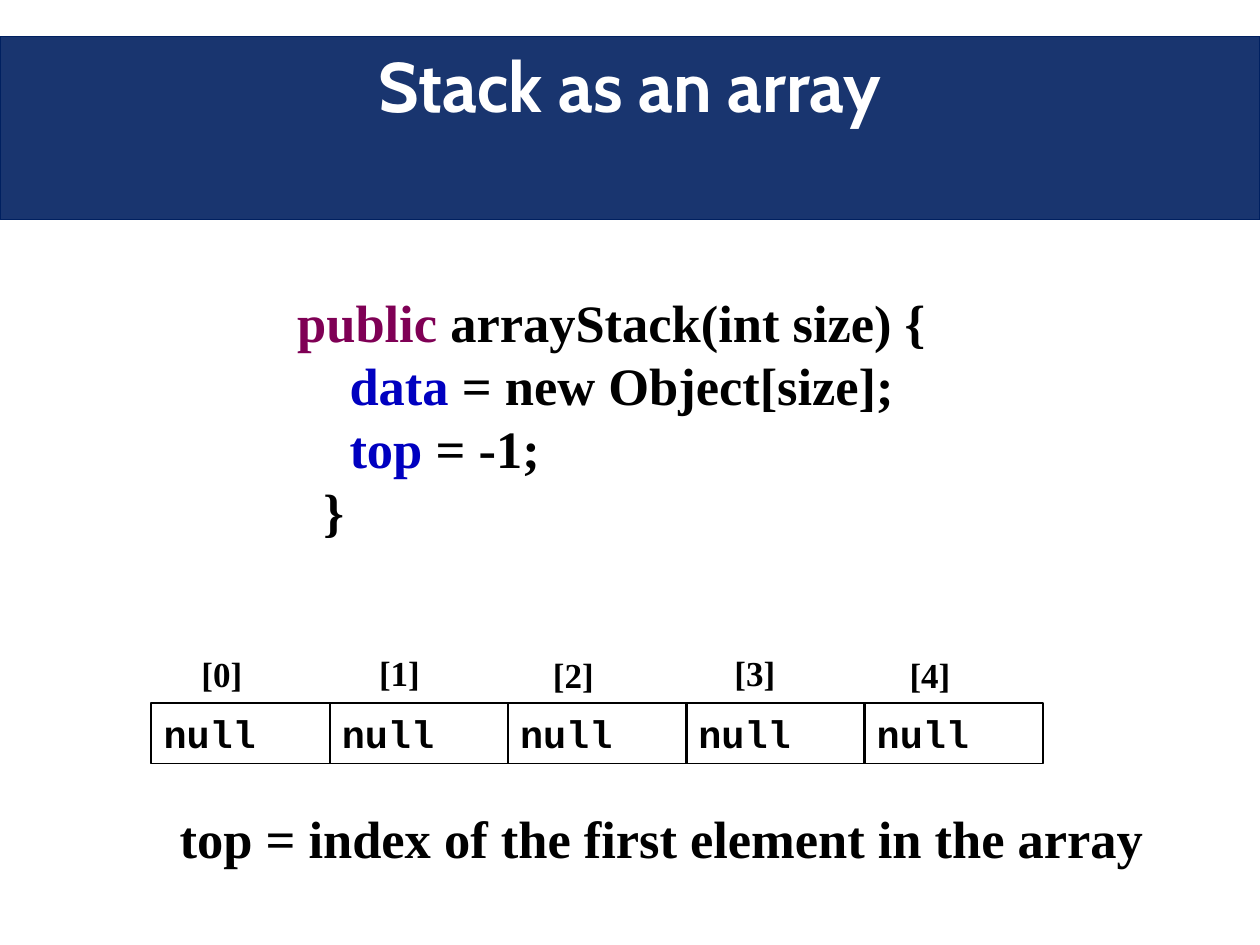
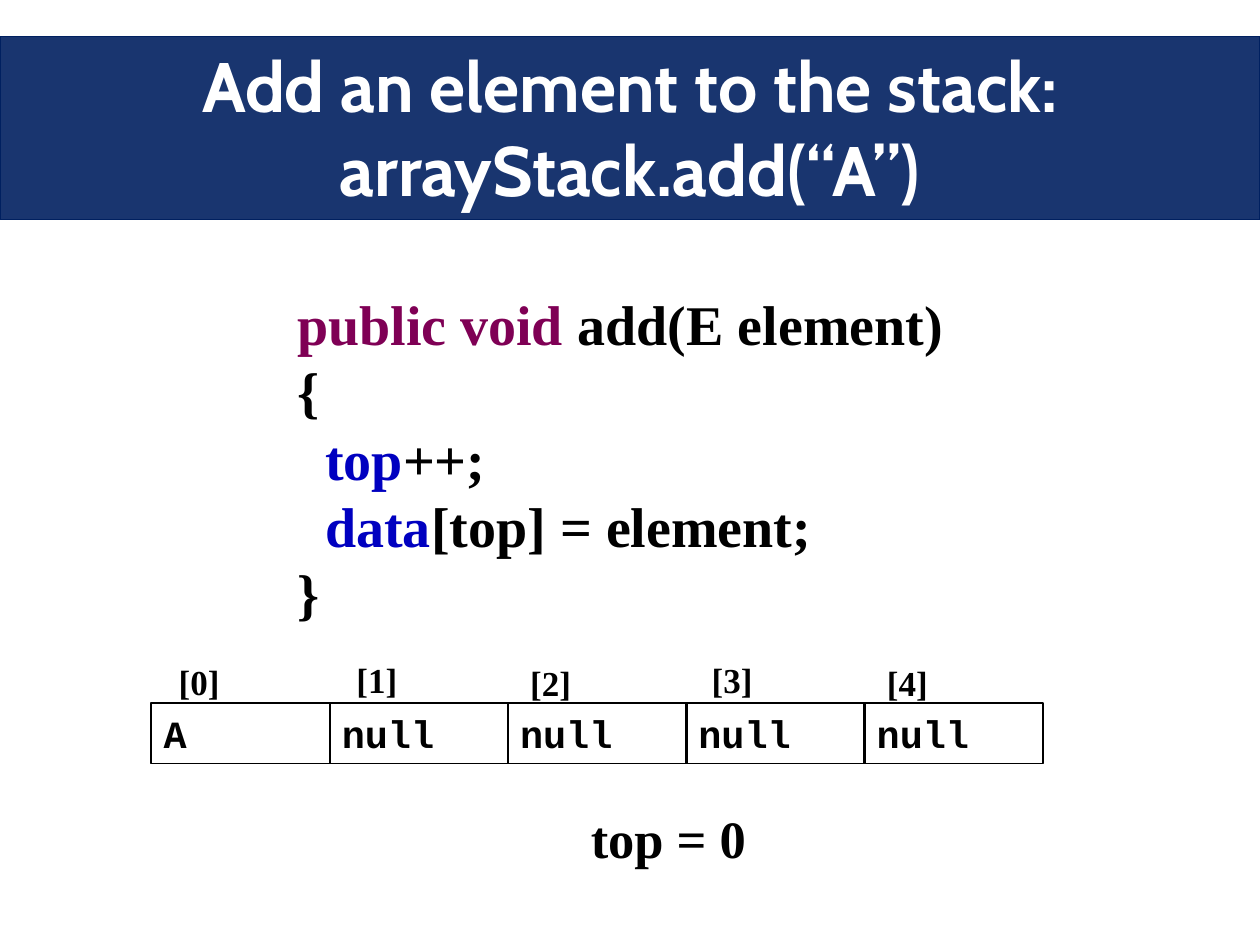
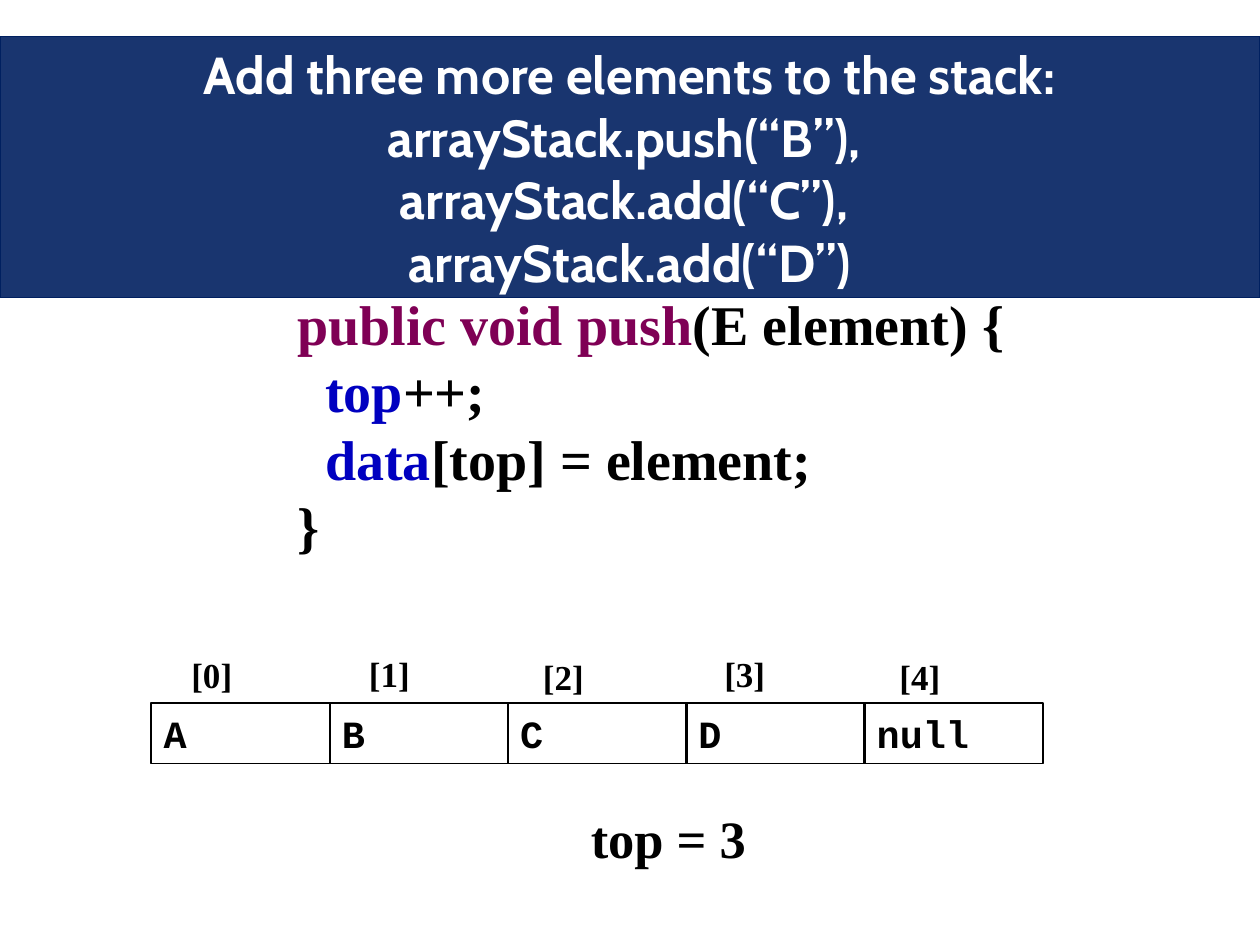
import pptx
import pptx.dml.color
import pptx.enum.shapes
import pptx.enum.text
import pptx.oxml
import pptx.oxml.ns
import pptx.util

Inches = pptx.util.Inches
Pt = pptx.util.Pt
ALIGN = pptx.enum.text.PP_ALIGN
ANCHOR = pptx.enum.text.MSO_ANCHOR

NAVY, WHITE, BLACK = "002060", "FFFFFF", "000000"
KEYWORD, FIELD = "7F0055", "0000C0"
HEADING, SERIF, MONO = "Cabin", "Times New Roman", "Courier New"

CELL_LEFT, CELL_TOP, CELL_W, CELL_H = 1.2, 5.58, 1.42, 0.48
CELL_STEP = (6.86 - CELL_LEFT) / 4
# Offset of each index label from the first one
INDEX_OFFSETS = [(0, 0), (1.41, -0.01), (2.79, 0.01), (4.23, -0.01), (5.62, 0.01)]


def rgb(value):
    return pptx.dml.color.RGBColor.from_string(value)


def write(tf, lines, size, font=SERIF, color=BLACK, align=ALIGN.LEFT, anchor=ANCHOR.TOP):
    """Fill a frame; each line is a string or a list of (text, colour) parts."""
    tf.word_wrap = True
    tf.auto_size = pptx.enum.text.MSO_AUTO_SIZE.NONE
    tf.vertical_anchor = anchor
    for i, line in enumerate(lines):
        p = tf.paragraphs[0] if i == 0 else tf.add_paragraph()
        p.alignment = align
        p.space_before = Pt(0)
        parts = [(line, color)] if isinstance(line, str) else line
        for text, part_color in parts:
            for j, piece in enumerate(text.split("\n")):
                if j:
                    p.add_line_break()
                r = p.add_run()
                r.text = piece
                r.font.name = font
                r.font.size = Pt(size)
                r.font.bold = True
                r.font.color.rgb = rgb(part_color)


class Deck:
    def __init__(self):
        self.prs = pptx.Presentation()
        self.prs.slide_width = Inches(10)
        self.prs.slide_height = Inches(7.5)
        self.s = None

    def title_slide(self, text, size=40, height=1.45):
        self.s = self.prs.slides.add_slide(self.prs.slide_layouts[5])
        sp = self.s.shapes.title
        sp.left, sp.top = Inches(0), Inches(0.29)
        sp.width, sp.height = Inches(10), Inches(height)
        sp.fill.solid()
        sp.fill.fore_color.rgb = rgb(NAVY)
        # Slightly transparent band
        clr = sp.fill._xPr.find(".//" + pptx.oxml.ns.qn("a:srgbClr"))
        clr.append(pptx.oxml.parse_xml(
            f'<a:alpha {pptx.oxml.ns.nsdecls("a")} val="90000"/>'))
        sp.line.color.rgb = rgb(NAVY)
        sp.line.width = Pt(0.75)
        write(sp.text_frame, [text], size, font=HEADING, color=WHITE, align=ALIGN.CENTER)

    def text(self, left, top, width, height, lines, size, **fmt):
        sp = self.s.shapes.add_textbox(
            Inches(left), Inches(top), Inches(width), Inches(height))
        write(sp.text_frame, lines, size, **fmt)

    def cell(self, left, value):
        sp = self.s.shapes.add_shape(
            pptx.enum.shapes.MSO_SHAPE.RECTANGLE,
            Inches(left), Inches(CELL_TOP), Inches(CELL_W), Inches(CELL_H))
        sp.shadow.inherit = False
        sp.fill.background()
        sp.line.color.rgb = rgb(BLACK)
        sp.line.width = Pt(1)
        write(sp.text_frame, [value], 22, font=MONO, anchor=ANCHOR.MIDDLE)

    def array(self, values, label_left, label_top):
        for i, value in enumerate(values):
            self.cell(CELL_LEFT + i * CELL_STEP, value)
        for i, (dx, dy) in enumerate(INDEX_OFFSETS):
            self.text(label_left + dx, label_top + dy, CELL_W, 0.44, [f"[{i}]"], 20)

    def code(self, lines, size=32, width=5.48, height=2.26):
        self.text(2.26, 2.25, width, height, lines, size)

    def top_note(self, text):
        self.text(0.9, 6.35, 8.81, 0.61, [text], 30, align=ALIGN.CENTER)


def main():
    deck = Deck()
    # Body shared by the add and push methods
    push_body = [
        [("  top", FIELD), ("++;", BLACK)],
        [("  data", FIELD), ("[top] = element;", BLACK)],
        "}",
    ]

    # Empty stack
    deck.title_slide("Stack as an array")
    deck.array(["null"] * 5, 1.5, 5.13)
    deck.code([
        [("public", KEYWORD), (" arrayStack(int size) {", BLACK)],
        [("    data", FIELD), (" = new Object[size];", BLACK)],
        [("    top", FIELD), (" = -1;", BLACK)],
        "  }",
    ], size=30, height=2.12)
    deck.top_note("top = index of the first element in the array ")

    # First element
    deck.title_slide("Add an element to the stack: arrayStack.add(“A”)")
    deck.array(["A"] + ["null"] * 4, 1.32, 5.19)
    deck.code([[("public void ", KEYWORD), ("add(E element) {", BLACK)]] + push_body,
              height=2.79)
    deck.top_note("top = 0")

    # Three more elements
    deck.title_slide(
        "Add three more elements to the stack: arrayStack.push(“B”), \n"
        "arrayStack.add(“C”), \narrayStack.add(“D”)", size=29.7, height=2.07)
    deck.array(["A", "B", "C", "D", "null"], 1.42, 5.14)
    deck.code([[("public void push", KEYWORD), ("(E element) {", BLACK)]] + push_body,
              width=6.91)
    deck.top_note("top = 3")

    deck.prs.save("out.pptx")


if __name__ == "__main__":
    main()
